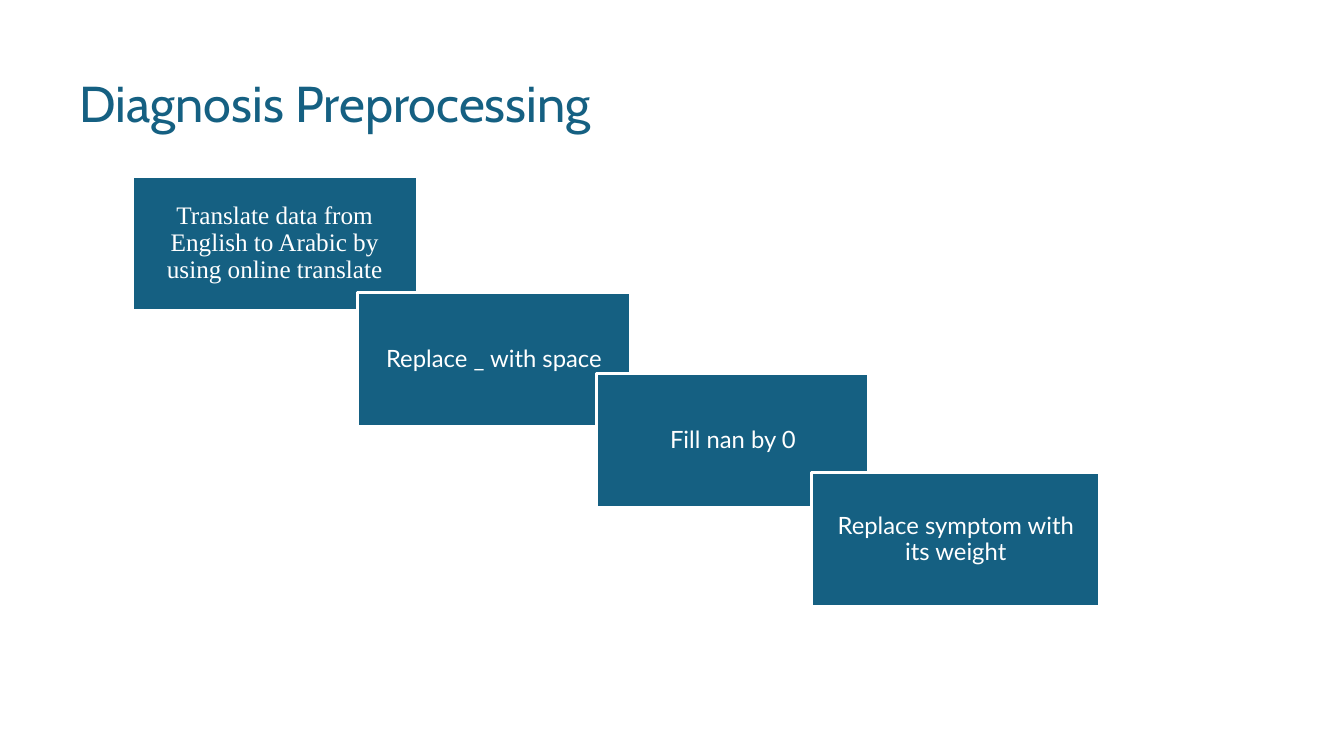
"""Build the Diagnosis Preprocessing slide: a descending staircase of four steps."""
import dataclasses

import pptx
import pptx.dml.color
import pptx.enum.shapes
import pptx.enum.text
import pptx.util
from pptx.util import Inches


@dataclasses.dataclass(frozen=True)
class Theme:
    blue = pptx.dml.color.RGBColor.from_string("156082")
    white = pptx.dml.color.RGBColor.from_string("FFFFFF")
    title_font = "Cabin"
    title_size = 36
    outline = 2.25
    line_spacing = 0.9


theme = Theme()


def write(paragraph, text, font, size, color):
    paragraph.line_spacing = theme.line_spacing
    run = paragraph.add_run()
    run.text = text
    run.font.name = font
    run.font.size = pptx.util.Pt(size)
    run.font.color.rgb = color


deck = pptx.Presentation()
deck.slide_width = Inches(13.33)
deck.slide_height = Inches(7.5)
slide = deck.slides.add_slide(deck.slide_layouts[6])

title = slide.shapes.add_textbox(Inches(0.69), Inches(0.49), Inches(11.33), Inches(0.88))
title.text_frame.word_wrap = True
title.text_frame.vertical_anchor = pptx.enum.text.MSO_ANCHOR.BOTTOM
write(title.text_frame.paragraphs[0], "Diagnosis Preprocessing",
      theme.title_font, theme.title_size, theme.blue)

step_height = 1.33
steps = [
    (1.31, 1.75, 2.83, "Translate data from English to Arabic by using online translate",
     "Times New Roman", 18),
    (3.55, 2.9, 2.7, "Replace _ with space", "Lato", 17),
    (5.92, 3.71, 2.7, "Fill nan by 0", "Lato", 17),
    (8.05, 4.69, 2.86, "Replace symptom with its weight", "Lato", 17),
]

for left, top, width, wording, font, size in steps:
    step = slide.shapes.add_shape(
        pptx.enum.shapes.MSO_SHAPE.RECTANGLE,
        Inches(left), Inches(top), Inches(width), Inches(step_height))
    step.shadow.inherit = False
    step.fill.solid()
    step.fill.fore_color.rgb = theme.blue
    step.line.color.rgb = theme.white
    step.line.width = pptx.util.Pt(theme.outline)
    frame = step.text_frame
    frame.word_wrap = True
    frame.vertical_anchor = pptx.enum.text.MSO_ANCHOR.MIDDLE
    frame.margin_left = frame.margin_right = Inches(0.12)
    frame.margin_top = frame.margin_bottom = Inches(0.13)
    frame.paragraphs[0].alignment = pptx.enum.text.PP_ALIGN.CENTER
    write(frame.paragraphs[0], wording, font, size, theme.white)

deck.save("out.pptx")
